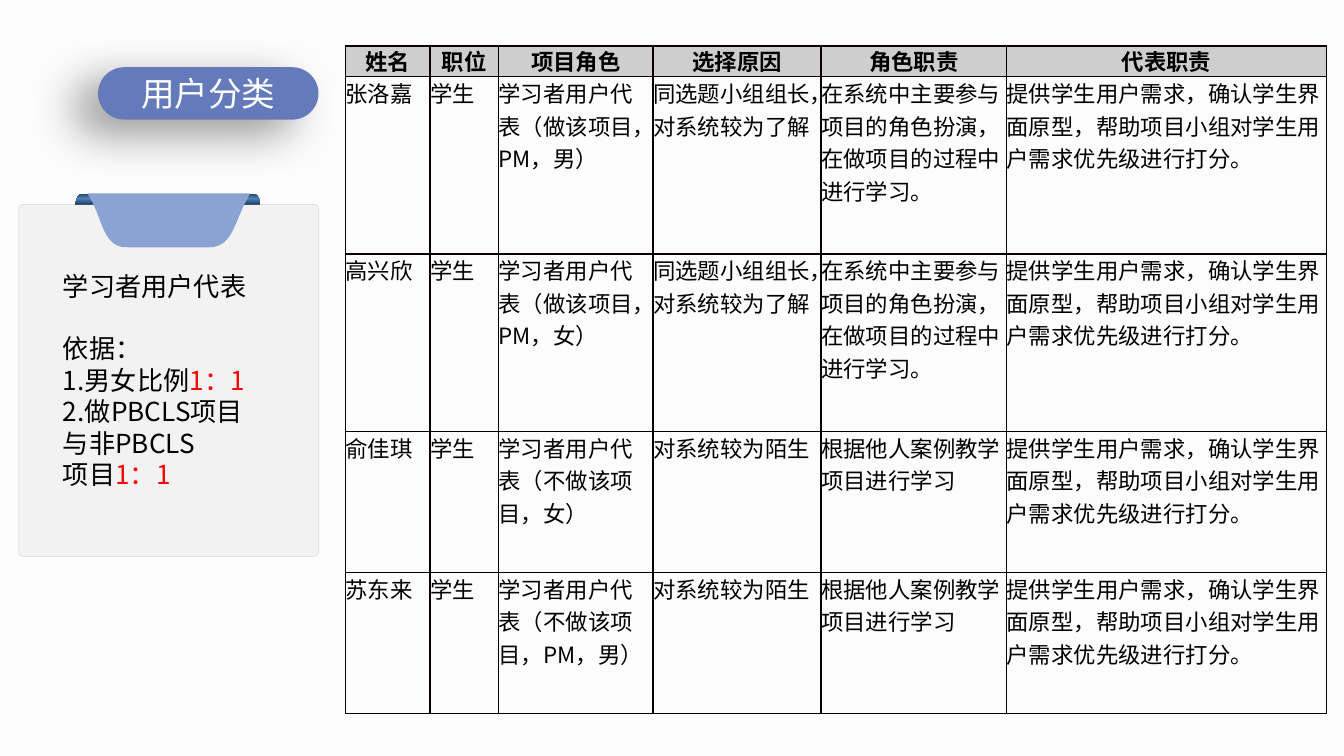
from lxml import etree
from pptx import Presentation
from pptx import util as u
from pptx.dml.color import RGBColor
from pptx.enum import shapes, text
from pptx.oxml import parse_xml
from pptx.oxml.ns import nsdecls, qn

FONT = "Noto Sans CJK SC"
DUTY = "提供学生用户需求，确认学生界面原型，帮助项目小组对学生用户需求优先级进行打分。"
LEADER = "同选题小组组长，对系统较为了解"
PLAYER = "在系统中主要参与项目的角色扮演，在做项目的过程中进行学习。"
NOVICE = "对系统较为陌生"
LEARNER = "根据他人案例教学项目进行学习"
ROWS = [
    ["姓名", "职位", "项目角色", "选择原因", "角色职责", "代表职责"],
    ["张洛嘉", "学生", "学习者用户代表（做该项目，PM，男）", LEADER, PLAYER, DUTY],
    ["高兴欣", "学生", "学习者用户代表（做该项目，PM，女）", LEADER, PLAYER, DUTY],
    ["俞佳琪", "学生", "学习者用户代表（不做该项目，女）", NOVICE, LEARNER, DUTY],
    ["苏东来", "学生", "学习者用户代表（不做该项目，PM，男）", NOVICE, LEARNER, DUTY],
]
COLUMN_WIDTHS = [0.63, 0.51, 1.15, 1.25, 1.38, 2.38]
ROW_HEIGHTS = [0.23, 1.32, 1.32, 1.05, 1.05]
CRITERIA = [
    ["学习者用户代表"],
    ["依据："],
    ["1.男女比例", "1：1"],
    ["2.做PBCLS项目"],
    ["与非PBCLS"],
    ["项目", "1：1"],
]


def rgb(value):
    """Turn a hex string into a colour."""
    return RGBColor.from_string(value)


def style(r, size, color, font=FONT, bold=False):
    """Format one run, for Latin and East Asian text alike."""
    r.font.size, r.font.bold, r.font.name = u.Pt(size), bold, font
    r.font.color.rgb = rgb(color)
    ea = etree.SubElement(r.font._element, qn("a:ea"))
    ea.set("typeface", font)


def paint(sp, fill, line=None):
    """Give a shape a flat fill, an optional hairline and no shadow."""
    sp.shadow.inherit = False
    sp.fill.solid()
    sp.fill.fore_color.rgb = rgb(fill)
    if line:
        sp.line.color.rgb = rgb(line)
        sp.line.width = u.Pt(0.25)
    else:
        sp.line.fill.background()


def add_round_rect(s, box, radius, fill, line=None):
    """Add a rounded rectangle."""
    sp = s.shapes.add_shape(shapes.MSO_SHAPE.ROUNDED_RECTANGLE, *map(u.Inches, box))
    sp.adjustments[0] = radius
    paint(sp, fill, line)
    return sp


def add_title(s):
    """Add the title pill with its soft shadow."""
    sp = add_round_rect(s, (0.73, 0.5, 1.64, 0.39), 0.5, "647ABA")
    effects = sp._element.spPr.find(qn("a:effectLst"))
    effects.append(parse_xml(
        f'<a:outerShdw {nsdecls("a")} blurRad="{u.Pt(25)}" dist="{u.Pt(15)}" '
        'dir="9000000" algn="ctr" rotWithShape="0"><a:srgbClr val="000000">'
        '<a:alpha val="40000"/></a:srgbClr></a:outerShdw>'))
    tf = sp.text_frame
    tf.text = "用户分类"
    tf.vertical_anchor = text.MSO_ANCHOR.MIDDLE
    p = tf.paragraphs[0]
    p.alignment = text.PP_ALIGN.CENTER
    style(p.runs[0], 18, "FFFFFF", "Calibri")


def curve(a, b, c, d, steps=16):
    """Return points along a cubic curve, without its start."""
    times = [i / steps for i in range(1, steps + 1)]
    return [tuple((1 - t) ** 3 * w + 3 * (1 - t) ** 2 * t * x
                  + 3 * (1 - t) * t * t * y + t ** 3 * z
                  for w, x, y, z in zip(a, b, c, d)) for t in times]


def add_outline(s, points, fill):
    """Add a closed freeform through points given in inches."""
    start, *rest = [(u.Inches(x), u.Inches(y)) for x, y in points]
    builder = s.shapes.build_freeform(*start, scale=1.0)
    builder.add_line_segments(rest, close=True)
    sp = builder.convert_to_shape()
    paint(sp, fill)
    return sp


def add_clip_end(s, left, width):
    """Add one shaded end of the clip behind the tab."""
    right, top, base = left + width, 1.44, 1.52
    points = [(left + 0.05, top), (right - 0.05, top)]
    points += curve(points[-1], (right - 0.02, 1.45), (right - 0.01, 1.48), (right, base))
    points += [(left, base)]
    points += curve(points[-1], (left + 0.01, 1.48), (left + 0.02, 1.45), points[0])
    sp = add_outline(s, points, "4F81BD")
    spPr = sp._element.spPr
    stops = "".join(f'<a:gs pos="{pos}"><a:srgbClr val="{color}"/></a:gs>' for pos, color in
                    [(0, "244061"), (48000, "4F81BD"), (100000, "244061")])
    spPr.replace(spPr.find(qn("a:solidFill")), parse_xml(
        f'<a:gradFill {nsdecls("a")}><a:gsLst>{stops}</a:gsLst>'
        '<a:lin ang="5400000" scaled="0"/></a:gradFill>'))


def add_clip_tab(s):
    """Add the curved tab of the clip."""
    points = [(0.65, 1.44), (1.86, 1.44), (1.83, 1.5)]
    points += curve(points[-1], (1.75, 1.64), (1.73, 1.84), (1.56, 1.84))
    points += [(0.95, 1.84)]
    points += curve(points[-1], (0.77, 1.85), (0.76, 1.63), (0.68, 1.49))
    add_outline(s, points, "8AA3D2")


def add_criteria(s):
    """Add the selection criteria, with the ratios in red."""
    tf = s.shapes.add_textbox(*map(u.Inches, (0.08, 1.96, 2.25, 2.05))).text_frame
    tf.word_wrap = True
    tf.auto_size = text.MSO_AUTO_SIZE.SHAPE_TO_FIT_TEXT
    for i, parts in enumerate(CRITERIA):
        p = tf.add_paragraph() if i else tf.paragraphs[0]
        p.line_spacing = u.Pt(16.8)
        if i == 1:
            p.space_before = u.Pt(16.8)
        pPr = p._p.get_or_add_pPr()
        pPr.set("marL", "0")
        pPr.set("indent", str(u.Inches(0.29)))
        for part, color in zip(parts, ("000000", "FF0000")):
            r = p.add_run()
            r.text = part
            style(r, 14, color)


def add_borders(cell):
    """Draw a thin dark line on each side of a cell."""
    tcPr = cell._tc.get_or_add_tcPr()
    for side in "LRTB":
        tcPr.append(parse_xml(
            f'<a:ln{side} {nsdecls("a")} w="{u.Pt(1)}"><a:solidFill>'
            f'<a:srgbClr val="080000"/></a:solidFill></a:ln{side}>'))


def add_user_table(s):
    """Add the table of user representatives."""
    box = map(u.Inches, (2.57, 0.34, sum(COLUMN_WIDTHS), sum(ROW_HEIGHTS)))
    table = s.shapes.add_table(len(ROWS), len(COLUMN_WIDTHS), *box).table
    table.first_row = table.horz_banding = False
    for column, width in zip(table.columns, COLUMN_WIDTHS):
        column.width = u.Inches(width)
    for i, (row, height, values) in enumerate(zip(table.rows, ROW_HEIGHTS, ROWS)):
        row.height = u.Inches(height)
        for cell, value in zip(row.cells, values):
            cell.margin_left = cell.margin_right = cell.margin_top = cell.margin_bottom = 0
            add_borders(cell)
            cell.text = value
            p = cell.text_frame.paragraphs[0]
            style(p.runs[0], 12, "000000", bold=i == 0)
            if i == 0:
                p.alignment = text.PP_ALIGN.CENTER
                p.line_spacing = u.Pt(16.5)
                cell.fill.solid()
                cell.fill.fore_color.rgb = rgb("CFCECE")
            else:
                cell.fill.background()


def main():
    """Build the slide and save it."""
    prs = Presentation()
    prs.slide_width = u.Inches(10)
    prs.slide_height = prs.slide_width * 9 // 16
    s = prs.slides.add_slide(prs.slide_layouts[6])
    s.background.fill.solid()
    s.background.fill.fore_color.rgb = rgb("FCFCFC")
    add_title(s)
    add_user_table(s)
    add_round_rect(s, (0.14, 1.52, 2.23, 2.62), 0.014, "F2F2F2", "D5D5D5")
    add_clip_end(s, 0.56, 0.14)
    add_clip_end(s, 1.8, 0.14)
    add_clip_tab(s)
    add_criteria(s)
    prs.save("out.pptx")


if __name__ == "__main__":
    main()
